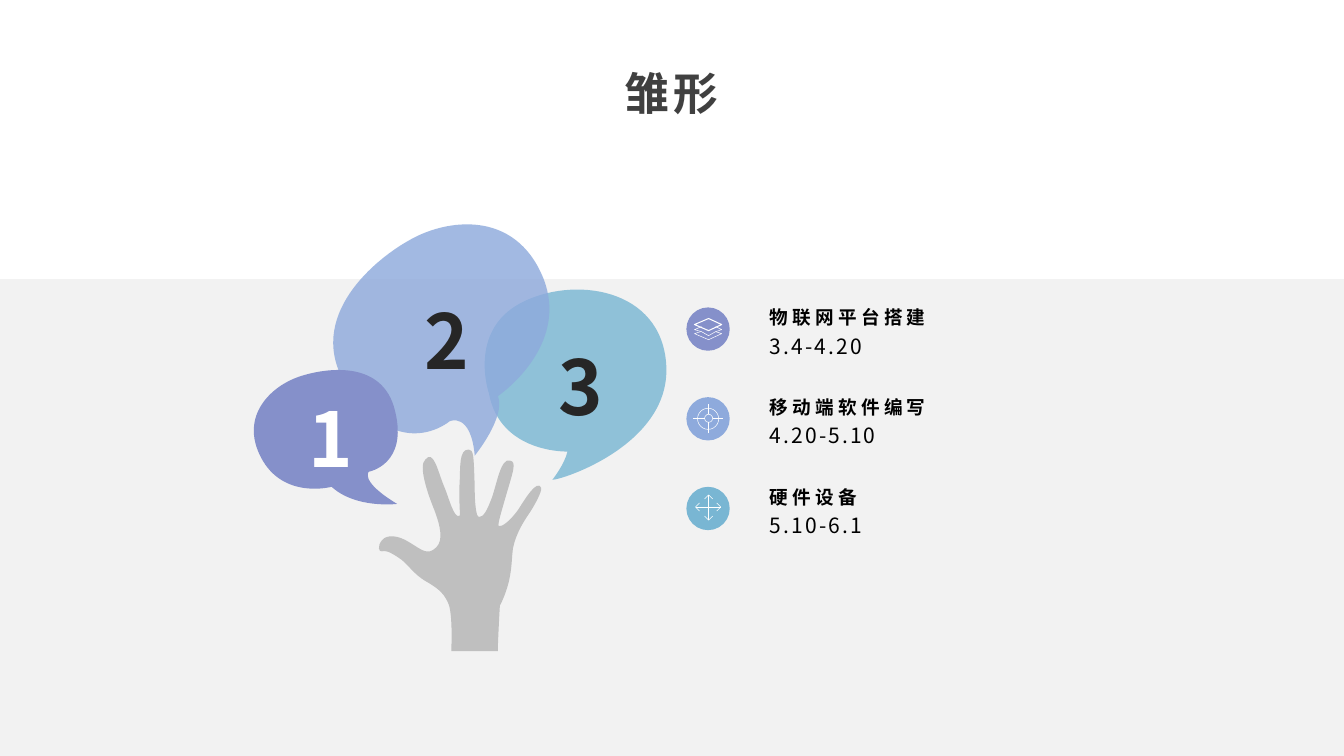
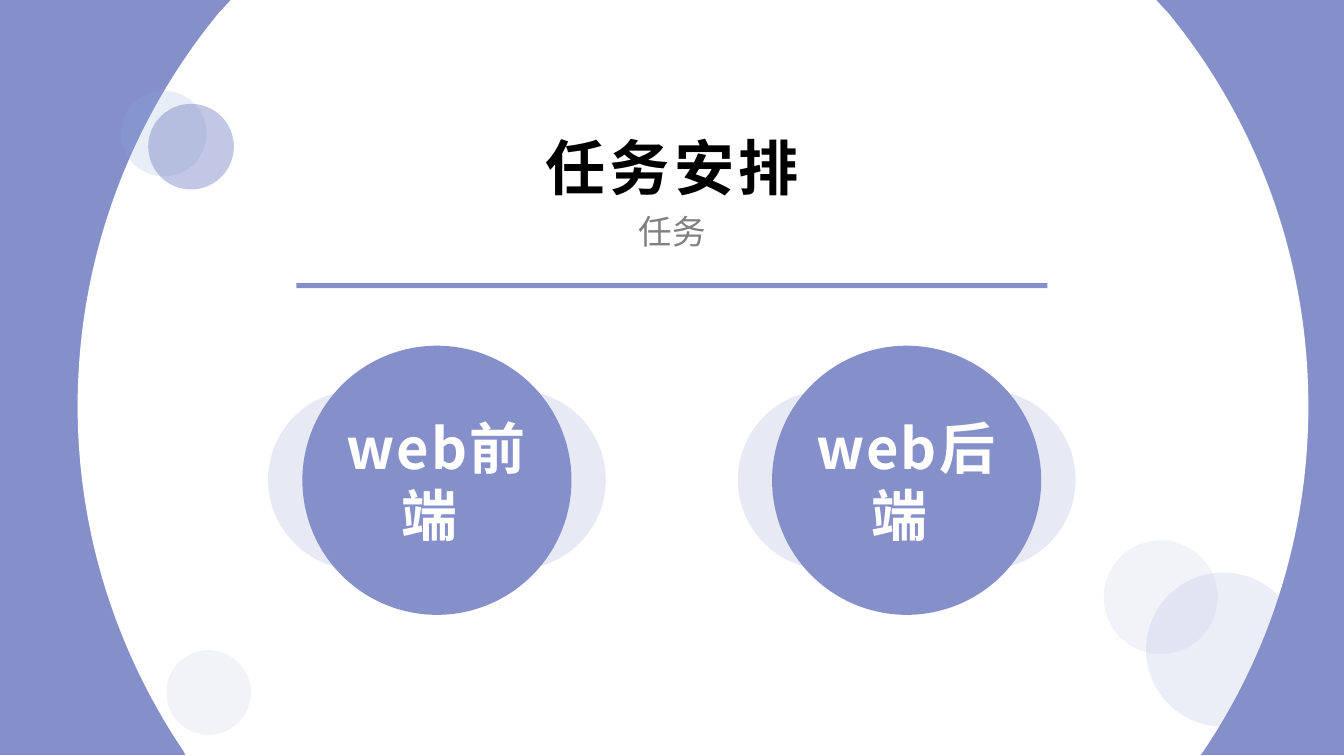
import pptx
import pptx.util
import pptx.dml.color
import pptx.enum.shapes
import pptx.enum.text
import pptx.oxml.ns
import lxml.etree

PX = 9144
SLIDE_SIZE = (1333.33, 750)
FONT = "Noto Sans CJK SC"
CURVE_STEPS = 20
COLORS = {
    "violet": "8590CA", "blue": "8EAADC", "teal": "79B6D3", "lavender": "E7E9F4",
    "band": "F2F2F2", "hand": "BFBFBF", "white": "FFFFFF", "black": "000000",
    "digit": "262626", "title": "404040", "subtitle": "808080",
}
STYLES = {
    "proto_title": dict(size=32, bold=True, color="title", spacing=3, align="CENTER", anchor="TOP",
                        insets=(8, 4, 8, 4), paragraph=dict(line_spacing=0.9, space_after=8)),
    "task_title": dict(size=43, bold=True, color="black", spacing=3.2, align="CENTER", anchor="BOTTOM",
                       insets=(7, 3, 7, 3), paragraph=dict(line_spacing=0.8)),
    "subtitle": dict(size=24, bold=False, color="subtitle", spacing=0.8, align="CENTER", anchor="TOP",
                     insets=(7, 3, 7, 3), paragraph={}),
    "number": dict(size=54, bold=True, color="digit", spacing=0, align="CENTER", anchor="MIDDLE",
                   insets=(10, 5, 10, 5), paragraph={}),
    "heading": dict(size=13.3, bold=True, color="black", spacing=3, align="LEFT", anchor="BOTTOM",
                    insets=(10, 5, 10, 0), paragraph=dict(line_spacing=1.2, space_after=16)),
    "dates": dict(size=15, bold=False, color="black", spacing=1.5, align="LEFT", anchor="TOP",
                  insets=(10, 0, 10, 5), paragraph=dict(line_spacing=1.1, space_after=16)),
    "task": dict(size=40, bold=True, color="white", spacing=1.5, align="CENTER", anchor="MIDDLE",
                 insets=(10, 5, 10, 5), paragraph={}),
}

HAND = [
    (465, 446), (470, 446, 470, 452, 471, 482), (471, 503, 473, 513, 475, 513),
    (480, 513, 483, 507, 488, 494), (493, 480, 497, 454, 506, 457),
    (513, 458, 509, 468, 502, 492), (498, 506, 493, 522, 495, 522),
    (498, 523, 506, 517, 514, 506), (521, 495, 533, 475, 537, 484),
    (538, 488, 529, 504, 524, 511), (520, 517, 512, 529, 509, 544),
    (507, 558, 509, 575, 496, 601), (496, 601, 495, 616, 494, 642),
    (494, 646), (448, 646), (448, 639), (448, 639, 449, 609, 445, 599),
    (441, 590, 437, 585, 423, 577), (409, 569, 405, 559, 395, 553),
    (386, 547, 382, 546, 379, 547), (376, 548, 374, 542, 379, 536),
    (384, 530, 395, 531, 406, 538), (418, 545, 424, 552, 433, 543),
    (440, 536, 437, 522, 431, 506), (424, 489, 415, 462, 422, 456),
    (430, 446, 434, 466, 440, 481), (446, 495, 450, 514, 456, 512),
    (457, 511, 455, 495, 456, 480), (457, 464, 455, 446, 465, 446),
]
BUBBLES = [
    dict(number="3", box=(544, 349, 55, 66), fill="teal", opacity=81, digit="digit", outline=[
        (485, 390), (485, 390, 464, 329, 516, 301), (568, 273, 657, 285, 661, 363),
        (665, 441, 558, 476, 548, 476), (548, 476, 560, 461, 563, 448),
        (563, 448, 496, 450, 485, 390)]),
    dict(number="2", box=(411, 304, 55, 66), fill="blue", opacity=82, digit="digit", outline=[
        (446, 418), (446, 418, 467, 408, 471, 452), (471, 452, 502, 414, 494, 393),
        (494, 393, 566, 344, 539, 276), (511, 207, 442, 217, 405, 239),
        (368, 260, 298, 320, 348, 389), (398, 459, 446, 418, 446, 418)]),
    dict(number="1", box=(296, 401, 55, 66), fill="violet", opacity=100, digit="white", outline=[
        (366, 468), (366, 468, 356, 477, 394, 500), (394, 500, 353, 505, 329, 483),
        (329, 483, 281, 496, 259, 454), (237, 412, 270, 383, 296, 374),
        (322, 365, 380, 356, 392, 408), (405, 461, 366, 468, 366, 468)]),
]
LAYERS_ICON = dict(outlines=[
    (0.75, [(22, 11), (8, 17), (22, 23), (35, 17), (22, 11)]),
    (0.37, [(29, 24), (35, 26), (22, 32), (8, 26), (14, 24)]),
    (0.37, [(29, 19), (35, 22), (29, 24), (22, 28), (15, 24), (8, 22), (15, 19)]),
])
TARGET_ICON = dict(
    rings=[(11, 11, 21, 21), (18, 17, 8, 8)],
    lines=[(22, 36, 22, 25), (22, 7, 22, 17), (7, 21, 18, 21), (26, 21, 36, 21)])
ARROWS_ICON = dict(lines=[
    (34, 20, 30, 24), (34, 20, 30, 16), (9, 20, 13, 16), (9, 20, 13, 24), (34, 20, 9, 20),
    (22, 33, 18, 29), (22, 33, 26, 29), (22, 8, 26, 12), (22, 8, 18, 12), (22, 33, 22, 8)])
MILESTONES = [
    ("物联网平台搭建", "3.4-4.20", "violet", LAYERS_ICON),
    ("移动端软件编写", "4.20-5.10", "blue", TARGET_ICON),
    ("硬件设备", "5.10-6.1", "teal", ARROWS_ICON),
]
MILESTONE_PITCH = 89

WHITE_FIELD = [
    (230, -1), (1146, -1), (1159, 13), (1246, 119, 1298, 255, 1298, 403),
    (1298, 529, 1260, 647, 1194, 745), (1191, 749), (184, 749), (182, 745),
    (116, 647, 77, 529, 77, 403), (77, 255, 130, 119, 217, 13),
]
ACCENT_CIRCLES = [
    (120, 90, 85, "blue", 20), (147, 103, 85, "violet", 50), (165, 645, 84, "violet", 10),
    (1137, 568, 153, "violet", 15), (1095, 536, 113, "violet", 10),
]
TASKS = ["web前端 ", "web后端 "]
TASK_PITCH = 466


def emu(values):
    return [round(value * PX) for value in values]


def rgb(color):
    return pptx.dml.color.RGBColor.from_string(COLORS[color])


def paint(shape, fill=None, opacity=100, line=None, width=0.37):
    shape.shadow.inherit = False
    if fill:
        shape.fill.solid()
        shape.fill.fore_color.rgb = rgb(fill)
        if opacity < 100:
            color = shape.element.xpath("./p:spPr/a:solidFill/a:srgbClr")[0]
            add_xml(color, "a:alpha", val=opacity * 1000)
    else:
        shape.fill.background()
    if line:
        shape.line.color.rgb = rgb(line)
        shape.line.width = pptx.util.Pt(width)
    else:
        shape.line.fill.background()


def add_xml(parent, tag, **attributes):
    child = lxml.etree.SubElement(parent, pptx.oxml.ns.qn(tag))
    for name, value in attributes.items():
        child.set(name, str(value))
    return child


def add_preset(shapes, kind, box, **look):
    preset = getattr(pptx.enum.shapes.MSO_SHAPE, kind)
    paint(shapes.add_shape(preset, *emu(box)), **look)


def trace(segments):
    points = [segments[0]]
    for segment in segments[1:]:
        if len(segment) == 2:
            points.append(segment)
            continue
        controls = [points[-1], segment[:2], segment[2:4], segment[4:]]
        for step in range(1, CURVE_STEPS + 1):
            t = step / CURVE_STEPS
            weights = ((1 - t) ** 3, 3 * t * (1 - t) ** 2, 3 * t * t * (1 - t), t ** 3)
            points.append(tuple(sum(weight * control[axis] for weight, control in zip(weights, controls))
                                for axis in (0, 1)))
    return [emu(point) for point in points]


def add_outline(shapes, segments, close=True, **look):
    points = trace(segments)
    builder = shapes.build_freeform(*points[0], scale=1.0)
    builder.add_line_segments(points[1:], close=close)
    shape = builder.convert_to_shape()
    outline = shape.element.xpath("./p:spPr/a:custGeom/a:pathLst/a:path")[0]
    for command in list(outline):
        outline.remove(command)
    for index, segment in enumerate(segments):
        tag = "a:moveTo" if index == 0 else "a:lnTo" if len(segment) == 2 else "a:cubicBezTo"
        command = add_xml(outline, tag)
        values = emu(segment)
        for x, y in zip(values[::2], values[1::2]):
            add_xml(command, "a:pt", x=x - shape.left, y=y - shape.top)
    if close:
        add_xml(outline, "a:close")
    paint(shape, **look)


def add_line(shapes, ends):
    connector = shapes.add_connector(pptx.enum.shapes.MSO_CONNECTOR.STRAIGHT, *emu(ends))
    connector.line.color.rgb = rgb("white")
    connector.line.width = pptx.util.Pt(0.37)
    add_xml(connector.element.xpath("./p:spPr")[0], "a:effectLst")


def write(shape, text, style, **changes):
    style = {**STYLES[style], **changes}
    frame = shape.text_frame
    settings = dict(zip(("margin_left", "margin_top", "margin_right", "margin_bottom"), emu(style["insets"])))
    settings.update(word_wrap=True, auto_size=pptx.enum.text.MSO_AUTO_SIZE.NONE,
                    vertical_anchor=getattr(pptx.enum.text.MSO_ANCHOR, style["anchor"]))
    for name, value in settings.items():
        setattr(frame, name, value)
    paragraph = frame.paragraphs[0]
    paragraph.alignment = getattr(pptx.enum.text.PP_ALIGN, style["align"])
    for name, value in style["paragraph"].items():
        setattr(paragraph, name, pptx.util.Pt(value) if name == "space_after" else value)
    run = paragraph.add_run()
    run.text = text
    for name, value in dict(name=FONT, size=pptx.util.Pt(style["size"]), bold=style["bold"]).items():
        setattr(run.font, name, value)
    run.font.color.rgb = rgb(style["color"])
    properties = shape.element.xpath(".//a:rPr")[0]
    properties.set("spc", str(round(style["spacing"] * 100)))
    add_xml(properties, "a:ea", typeface=FONT)


def add_text(slide, box, text, style, **changes):
    write(slide.shapes.add_textbox(*emu(box)), text, style, **changes)


def add_title(slide, box, text, style):
    title = slide.shapes.title
    for name, value in zip(("left", "top", "width", "height"), emu(box)):
        setattr(title, name, value)
    title.element.getparent().append(title.element)
    write(title, text, style)


def add_icon(slide, left, top, icon):
    shapes = slide.shapes.add_group_shape().shapes
    for x, y, width, height in icon.get("rings", []):
        add_preset(shapes, "OVAL", (left + x, top + y, width, height), line="white")
    for x1, y1, x2, y2 in icon.get("lines", []):
        add_line(shapes, (left + x1, top + y1, left + x2, top + y2))
    for width, points in icon.get("outlines", []):
        moved = [(left + x, top + y) for x, y in points]
        add_outline(shapes, moved, close=False, line="white", width=width)


def build_prototype(slide):
    shapes = slide.shapes
    add_preset(shapes, "RECTANGLE", (0, 277, SLIDE_SIZE[0], 473), fill="band")
    add_title(slide, (50, 67, 1233, 69), "雏形", "proto_title")
    add_outline(shapes, HAND, fill="hand")
    for bubble in BUBBLES:
        add_outline(shapes, bubble["outline"], fill=bubble["fill"], opacity=bubble["opacity"])
        add_text(slide, bubble["box"], bubble["number"], "number", color=bubble["digit"])
    for index, (heading, dates, color, icon) in enumerate(MILESTONES):
        top = 293 + index * MILESTONE_PITCH
        add_text(slide, (754, top, 327, 33), heading, "heading")
        add_text(slide, (754, top + 35, 327, 33), dates, "dates")
        add_preset(shapes, "OVAL", (681, top + 12, 43, 43), fill=color)
        add_icon(slide, 681, top + 12, icon)


def build_tasks(slide):
    shapes = slide.shapes
    add_preset(shapes, "RECTANGLE", (0, -1, SLIDE_SIZE[0], 750), fill="violet")
    add_outline(shapes, WHITE_FIELD, fill="white")
    for left, top, size, color, opacity in ACCENT_CIRCLES:
        add_preset(shapes, "OVAL", (left, top, size, size), fill=color, opacity=opacity)
    add_preset(shapes, "RECTANGLE", (294, 281, 745, 5), fill="violet")
    add_title(slide, (167, 117, 1000, 86), "任务安排", "task_title")
    add_text(slide, (167, 206, 1000, 47), "任务", "subtitle")
    for index, task in enumerate(TASKS):
        left = 266 + index * TASK_PITCH
        for side in (left, left + 157):
            add_preset(shapes, "OVAL", (side, 387, 178, 178), fill="lavender")
        add_preset(shapes, "OVAL", (left + 34, 343, 267, 267), fill="violet")
        add_text(slide, (left + 68, 398, 199, 157), task, "task")


def main():
    presentation = pptx.Presentation()
    presentation.slide_width, presentation.slide_height = emu(SLIDE_SIZE)
    title_only = presentation.slide_layouts[5]
    for build in (build_prototype, build_tasks):
        build(presentation.slides.add_slide(title_only))
    presentation.save("out.pptx")


if __name__ == "__main__":
    main()
